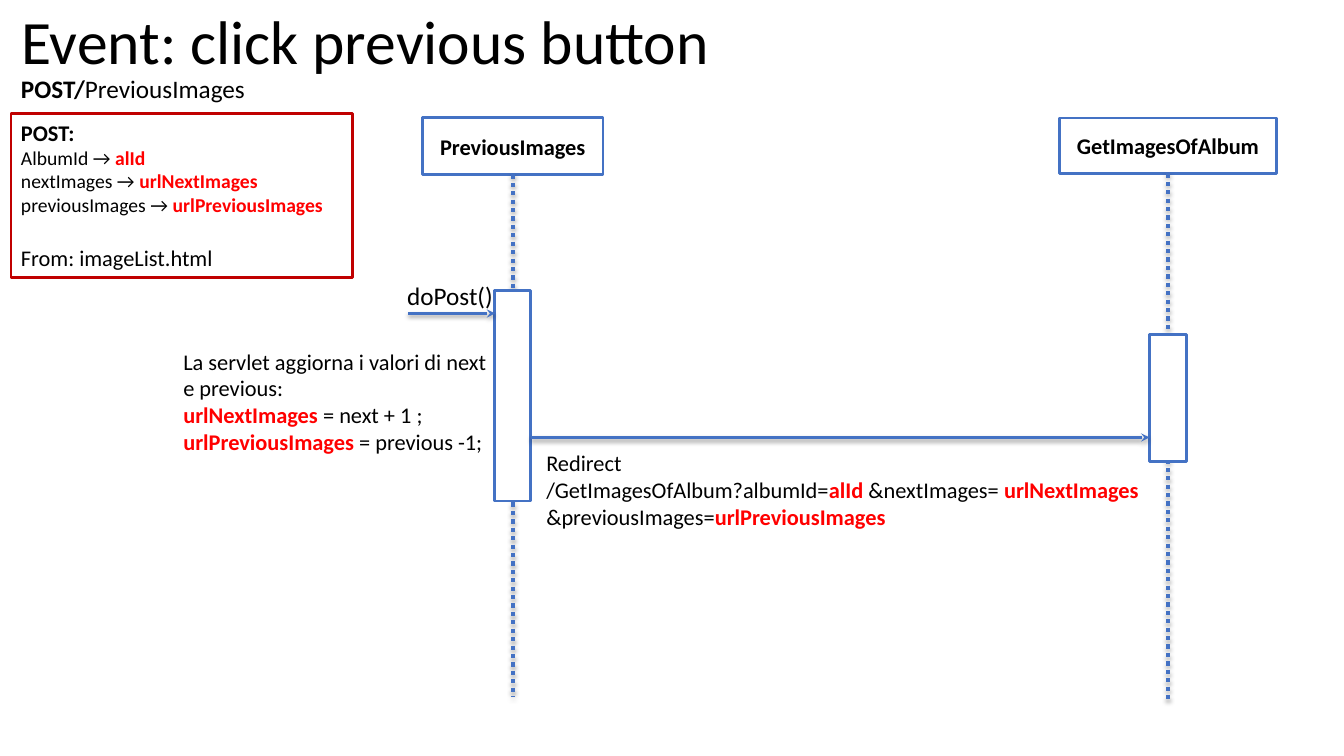
from dataclasses import dataclass

from lxml import etree
from pptx import Presentation
from pptx.dml.color import RGBColor
from pptx.enum.dml import MSO_LINE
from pptx.enum.shapes import MSO_CONNECTOR, MSO_SHAPE
from pptx.enum.text import MSO_ANCHOR, MSO_AUTO_SIZE, PP_ALIGN
from pptx.oxml import parse_xml
from pptx.oxml.ns import nsdecls, qn
from pptx.util import Inches, Pt

RECTANGLE = MSO_SHAPE.RECTANGLE
STRAIGHT = MSO_CONNECTOR.STRAIGHT
DOTTED = MSO_LINE.ROUND_DOT
LEFT, CENTER = PP_ALIGN.LEFT, PP_ALIGN.CENTER
TOP, MIDDLE = MSO_ANCHOR.TOP, MSO_ANCHOR.MIDDLE
NO_AUTOFIT = MSO_AUTO_SIZE.NONE
BOTTOM_SIDE = 2


@dataclass(frozen=True)
class Theme:
    font: str = "Calibri"
    black: str = "000000"
    white: str = "FFFFFF"
    blue: str = "4472C4"
    red: str = "FF0000"
    dark_red: str = "C00000"
    title: int = 44
    label: int = 18
    body: int = 16
    small: int = 14
    line: float = 2
    lifeline: float = 3


THEME = Theme()


@dataclass(frozen=True)
class Span:
    text: str
    bold: bool = False
    color: str = THEME.black


@dataclass(frozen=True)
class Para:
    spans: tuple[Span, ...]
    size: int = THEME.body
    space_before: float = 0


@dataclass(frozen=True)
class Place:
    left: float
    top: float
    width: float
    height: float

    def lengths(self):
        return [Inches(value) for value in (self.left, self.top, self.width, self.height)]


@dataclass(frozen=True)
class Participant:
    name: str
    header: Place
    lifeline_end: float
    active_top: float
    active_height: float


@dataclass(frozen=True)
class Note:
    place: Place
    paras: tuple[Para, ...]
    wrap: bool = True


@dataclass(frozen=True)
class Message:
    start: float
    end: float
    height: float


def variable(name: str) -> Span:
    return Span(name, True, THEME.red)


def line_of(*spans: Span, size: int = THEME.body, space_before: float = 0) -> Para:
    return Para(spans, size, space_before)


ACTIVE_WIDTH = 0.36
PARTICIPANTS = (
    Participant("GetImagesOfAlbum", Place(10.51, 1.17, 2.15, 0.55), 6.97, 3.32, 1.26),
    Participant("PreviousImages", Place(4.19, 1.17, 1.79, 0.56), 6.91, 2.88, 2.09),
)
MESSAGES = (Message(4.05, 4.91, 3.11), Message(5.27, 11.4, 4.34))
NOTES = (
    Note(Place(1.72, 3.4, 3.27, 1.18), (
        line_of(Span("La servlet aggiorna i valori di next e previous:")),
        line_of(variable("urlNextImages"), Span(" = next + 1 ;")),
        line_of(variable("urlPreviousImages"), Span(" = previous -1;")),
    )),
    Note(Place(5.32, 4.41, 6.83, 1.45), (
        line_of(Span("Redirect")),
        line_of(Span("/GetImagesOfAlbum?albumId="), variable("alId "),
                Span("&nextImages= "), variable("urlNextImages "),
                Span("&previousImages="), variable("urlPreviousImages")),
    )),
    Note(Place(3.94, 2.73, 1.06, 0.4),
         (line_of(Span("doPost()"), size=THEME.label),), wrap=False),
    Note(Place(0.11, 0.68, 2.48, 0.4),
         (line_of(Span("POST/", True), Span("PreviousImages"), size=THEME.label),)),
)
REQUEST_PLACE = Place(0.11, 1.13, 3.39, 1.62)
REQUEST = (
    line_of(Span("POST:", True)),
    *(line_of(Span(f"{field} → "), variable(name), size=THEME.small)
      for field, name in (("AlbumId", "alId"), ("nextImages", "urlNextImages"),
                          ("previousImages", "urlPreviousImages"))),
    line_of(Span("From: imageList.html"), space_before=19.5),
)


def write(frame, paras: tuple[Para, ...], *, align=LEFT, anchor=TOP,
          wrap: bool = True, spacing: float = 1.0) -> None:
    frame.word_wrap = wrap
    frame.auto_size = NO_AUTOFIT
    frame.vertical_anchor = anchor
    for index, para in enumerate(paras):
        paragraph = frame.paragraphs[0] if index == 0 else frame.add_paragraph()
        paragraph.alignment = align
        paragraph.line_spacing = spacing
        if para.space_before:
            paragraph.space_before = Pt(para.space_before)
        for span in para.spans:
            run = paragraph.add_run()
            run.text = span.text
            run.font.name = THEME.font
            run.font.size = Pt(para.size)
            run.font.bold = span.bold
            run.font.color.rgb = RGBColor.from_string(span.color)


def add_box(slide, place: Place, outline: str, filled: bool = True):
    box = slide.shapes.add_shape(RECTANGLE, *place.lengths())
    box.shadow.inherit = False
    if filled:
        box.fill.solid()
        box.fill.fore_color.rgb = RGBColor.from_string(THEME.white)
    else:
        box.fill.background()
    box.line.color.rgb = RGBColor.from_string(outline)
    box.line.width = Pt(THEME.line)
    return box


def add_line(slide, start: tuple[float, float], end: tuple[float, float], *,
             width: float, distance: float, opacity: int):
    line = slide.shapes.add_connector(STRAIGHT, *map(Inches, start + end))
    line.line.color.rgb = RGBColor.from_string(THEME.blue)
    line.line.width = Pt(width)
    line.line._get_or_add_ln()
    line._element.spPr.append(parse_xml(
        f'<a:effectLst {nsdecls("a")}><a:outerShdw blurRad="{Pt(3.1)}" '
        f'dist="{Pt(distance)}" dir="5400000" rotWithShape="0">'
        f'<a:srgbClr val="{THEME.black}"><a:alpha val="{opacity * 1000}"/></a:srgbClr>'
        '</a:outerShdw></a:effectLst>'))
    return line


def add_participant(slide, item: Participant) -> None:
    header = add_box(slide, item.header, THEME.blue)
    frame = header.text_frame
    frame.margin_left = frame.margin_right = Inches(0.12)
    frame.margin_top = frame.margin_bottom = Inches(0.06)
    write(frame, (line_of(Span(item.name, True)),), align=CENTER, anchor=MIDDLE)
    center = item.header.left + item.header.width / 2
    lifeline = add_line(slide, (center, item.header.top + item.header.height),
                        (center, item.lifeline_end),
                        width=THEME.lifeline, distance=1.8, opacity=35)
    lifeline.line.dash_style = DOTTED
    lifeline.begin_connect(header, BOTTOM_SIDE)
    add_box(slide, Place(center - ACTIVE_WIDTH / 2, item.active_top,
                         ACTIVE_WIDTH, item.active_height), THEME.blue)


def add_message(slide, item: Message) -> None:
    arrow = add_line(slide, (item.start, item.height), (item.end, item.height),
                     width=THEME.line, distance=1.6, opacity=38)
    etree.SubElement(arrow.line._get_or_add_ln(), qn("a:tailEnd"), type="stealth")


def main() -> None:
    deck = Presentation()
    deck.slide_width, deck.slide_height = Inches(13.33), Inches(7.5)
    page = deck.slides.add_slide(deck.slide_layouts[5])

    # Title
    title = page.shapes.title
    title.left, title.top, title.width, title.height = Place(0.11, 0.03, 11.5, 0.82).lengths()
    write(title.text_frame, (line_of(Span("Event: click previous button"), size=THEME.title),),
          anchor=MIDDLE, spacing=0.9)

    # Sequence diagram
    for participant in PARTICIPANTS:
        add_participant(page, participant)
    for message in MESSAGES:
        add_message(page, message)

    # Request parameters and notes
    request = add_box(page, REQUEST_PLACE, THEME.dark_red, filled=False)
    write(request.text_frame, REQUEST)
    for note in NOTES:
        box = page.shapes.add_textbox(*note.place.lengths())
        write(box.text_frame, note.paras, wrap=note.wrap)

    deck.save("out.pptx")


if __name__ == "__main__":
    main()
